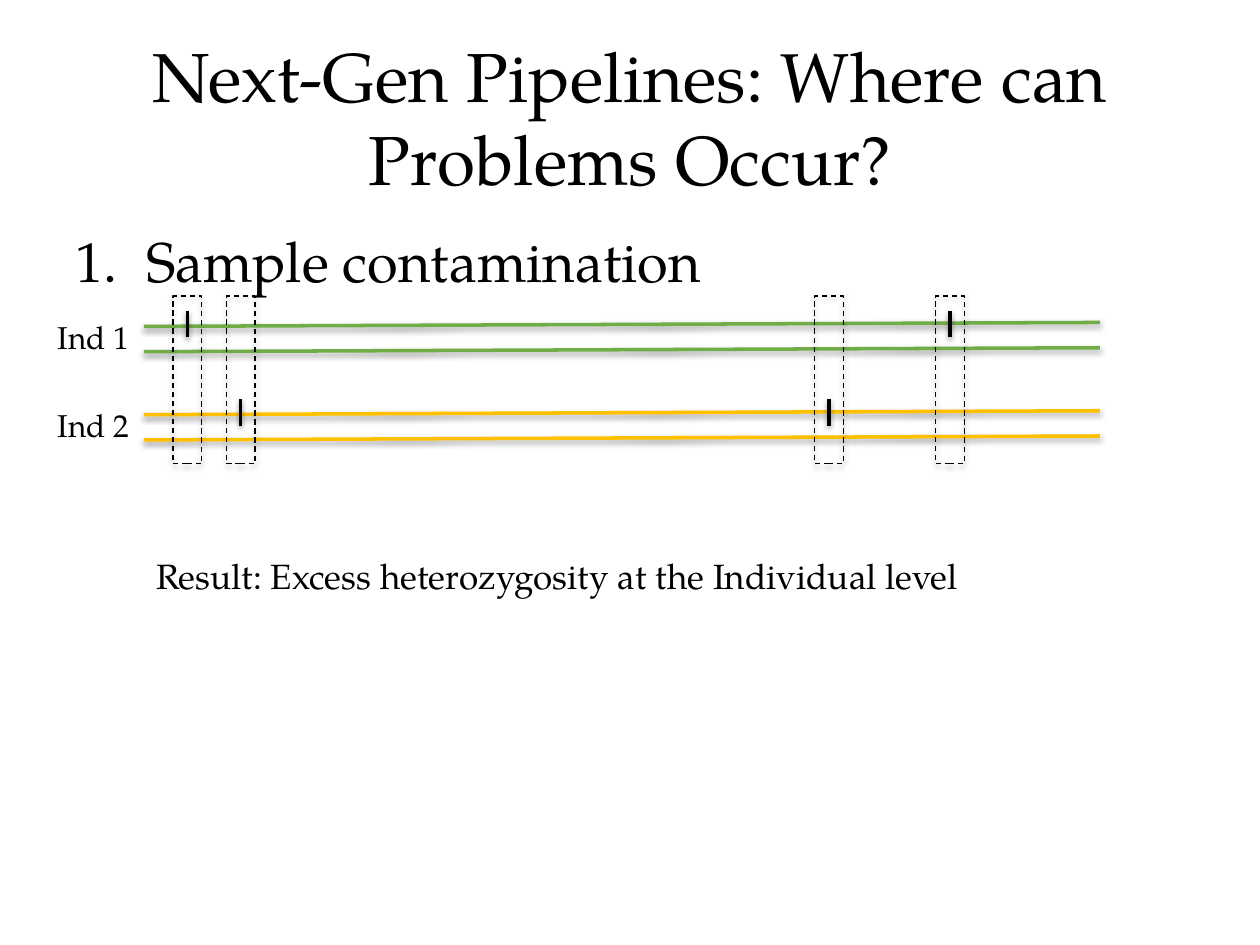
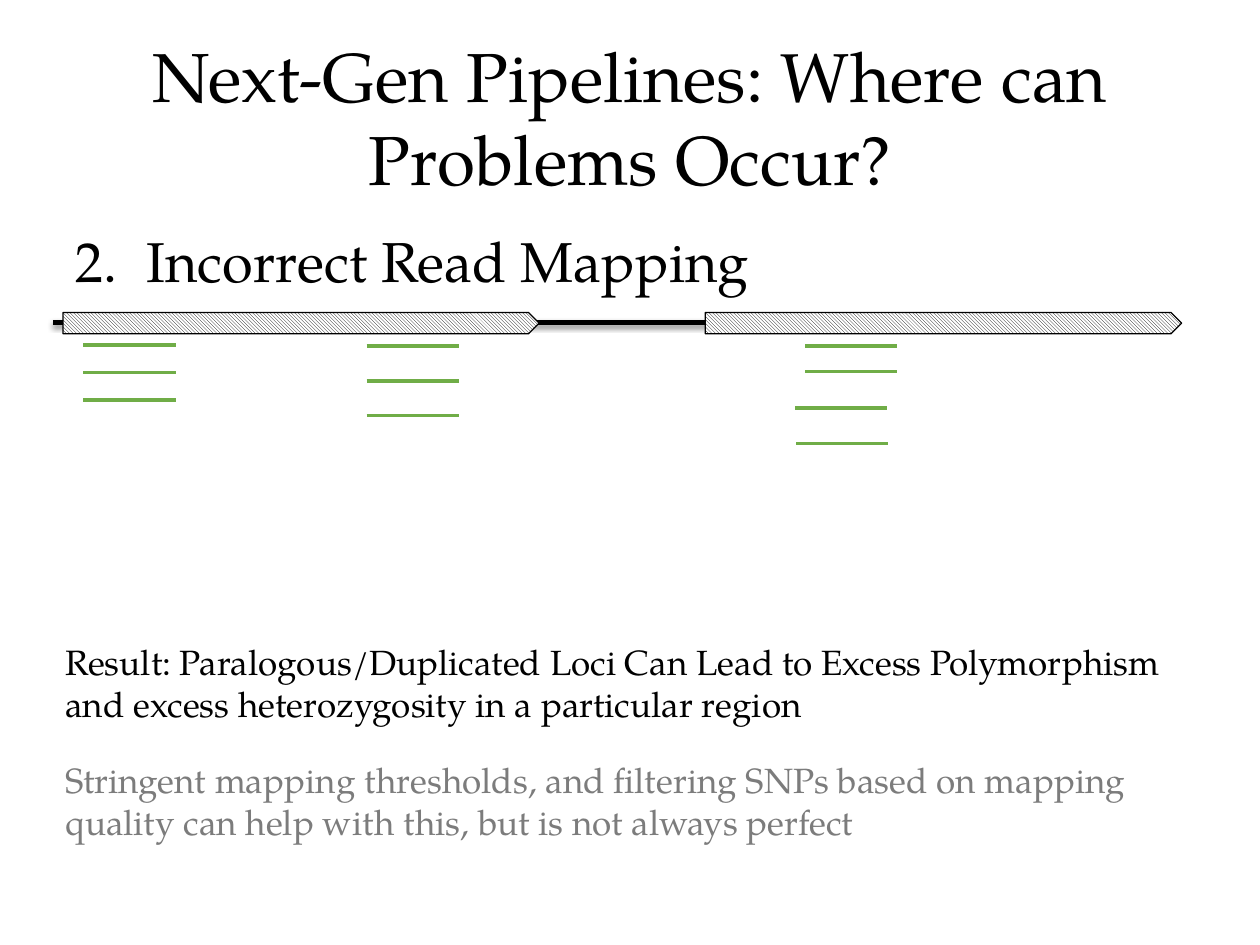
from copy import deepcopy

from lxml import etree
from pptx import Presentation
from pptx.dml.color import RGBColor
from pptx.enum.dml import MSO_LINE, MSO_PATTERN
from pptx.enum.shapes import MSO_CONNECTOR, MSO_SHAPE
from pptx.enum.text import MSO_ANCHOR, MSO_AUTO_SIZE, PP_ALIGN
from pptx.oxml import parse_xml
from pptx.oxml.ns import nsdecls, qn
from pptx.util import Cm, Pt

BLACK = RGBColor(0x00, 0x00, 0x00)
WHITE = RGBColor(0xFF, 0xFF, 0xFF)
GREEN = RGBColor(0x70, 0xAD, 0x47)
AMBER = RGBColor(0xFF, 0xC0, 0x00)
GREY = RGBColor(0x7C, 0x7C, 0x7C)
FONT = "TeX Gyre Pagella"

STRAIGHT = MSO_CONNECTOR.STRAIGHT
RECTANGLE = MSO_SHAPE.RECTANGLE
PENTAGON = MSO_SHAPE.PENTAGON
DASH = MSO_LINE.DASH
DARK_DIAGONAL = MSO_PATTERN.DARK_DOWNWARD_DIAGONAL
LIGHT_DIAGONAL = MSO_PATTERN.LIGHT_DOWNWARD_DIAGONAL
TOP, MIDDLE = MSO_ANCHOR.TOP, MSO_ANCHOR.MIDDLE
LEFT, CENTER = PP_ALIGN.LEFT, PP_ALIGN.CENTER
GROW, FIXED = MSO_AUTO_SIZE.SHAPE_TO_FIT_TEXT, MSO_AUTO_SIZE.NONE

NO_SHADOW = parse_xml(f"<a:effectLst {nsdecls('a')}/>")
SOFT_SHADOW = parse_xml(
    f"<a:effectLst {nsdecls('a')}>"
    '<a:outerShdw blurRad="40000" dist="20000" dir="5400000" rotWithShape="0">'
    '<a:srgbClr val="000000"><a:alpha val="38000"/></a:srgbClr>'
    "</a:outerShdw></a:effectLst>")


def add_text(shapes, text, left, top, width, height, size=20, color=BLACK,
             align=LEFT, anchor=TOP, wrap=True, fit=GROW, number=None):
    """Add a one-paragraph text box, numbered if a number is given; lengths in cm."""
    box = shapes.add_textbox(Cm(left), Cm(top), Cm(width), Cm(height))
    frame = box.text_frame
    frame.word_wrap = wrap
    frame.auto_size = fit
    frame.vertical_anchor = anchor
    para = frame.paragraphs[0]
    para.alignment = align
    span = para.add_run()
    span.text = text
    span.font.name = FONT
    span.font.size = Pt(size)
    span.font.color.rgb = color
    if number:
        para.space_before = Pt(0.2 * size)
        properties = para._p.get_or_add_pPr()
        properties.set("marL", str(Cm(1.43)))
        properties.set("indent", str(-Cm(1.43)))
        etree.SubElement(properties, qn("a:buAutoNum"),
                         type="arabicPeriod", startAt=str(number))


def add_line(shapes, x1, y1, x2, y2, color=BLACK, weight=2, effect=SOFT_SHADOW):
    """Add a straight line between two points in cm."""
    line = shapes.add_connector(STRAIGHT, Cm(x1), Cm(y1), Cm(x2), Cm(y2))
    line.line.color.rgb = color
    line.line.width = Pt(weight)
    line._element.spPr.append(deepcopy(effect))


deck = Presentation()
deck.slide_width, deck.slide_height = Cm(25.4), Cm(19.05)

# Both slides: the title and one numbered problem
pages = []
for number, problem in enumerate(["Sample contamination", "Incorrect Read Mapping"], 1):
    page = deck.slides.add_slide(deck.slide_layouts[6])
    add_text(page.shapes, "Next-Gen Pipelines: Where can Problems Occur?",
             1.27, 0.76, 22.86, 3.18, size=39.6, align=CENTER, anchor=MIDDLE, fit=FIXED)
    add_text(page.shapes, problem, 1.27, 4.45, 22.86, 12.57,
             size=32, fit=FIXED, number=number)
    pages.append(page)
contamination, mapping = pages

# Slide 1: two individuals, each with two strands and two variants
individuals = [("Ind 1", 6.5, GREEN, (3.78, 19.15)),
               ("Ind 2", 8.28, AMBER, (4.85, 16.71))]
for name, top, color, variants in individuals:
    group = contamination.shapes.add_group_shape().shapes
    for strand in (top, top + 0.51):
        add_line(group, 2.9, strand + 0.08, 22.17, strand, color)
    for x in variants:
        add_line(group, x, top - 0.23, x, top + 0.3)
    add_text(group, name, 0.91, top - 0.22, 1.98, 1.02, size=18, wrap=False)

# Dashed boxes compare the individuals at each variant
for *_, variants in individuals:
    for x in variants:
        box = contamination.shapes.add_shape(
            RECTANGLE, Cm(x - 0.29), Cm(5.97), Cm(0.58), Cm(3.38))
        box.fill.background()
        box.line.color.rgb = BLACK
        box.line.width = Pt(0.75)
        box.line.dash_style = DASH
        box._element.spPr.append(deepcopy(SOFT_SHADOW))

add_text(contamination.shapes, "Result: Excess heterozygosity at the Individual level",
         2.9, 11.05, 19.13, 1.12)

# Slide 2: reads mapped below two duplicated loci
add_line(mapping.shapes, 1.07, 6.5, 22.68, 6.5, weight=2.5)

reads = [(1.68, 6.96 + 0.55 * row) for row in range(3)]
reads += [(7.39, 6.98 + 0.7 * row) for row in range(3)]
reads += [(16.23, 6.98), (16.23, 7.49), (16.03, 8.23), (16.05, 8.94)]
for x, y in reads:
    add_line(mapping.shapes, x, y, x + 1.86, y, GREEN, effect=NO_SHADOW)

for left, pattern in [(1.27, DARK_DIAGONAL), (14.22, LIGHT_DIAGONAL)]:
    locus = mapping.shapes.add_shape(PENTAGON, Cm(left), Cm(6.3), Cm(9.6), Cm(0.43))
    locus.shadow.inherit = False
    locus.fill.patterned()
    locus.fill.pattern = pattern
    locus.fill.fore_color.rgb = BLACK
    locus.fill.back_color.rgb = WHITE
    locus.line.color.rgb = BLACK
    locus.line.width = Pt(0.75)

add_text(mapping.shapes,
         "Result: Paralogous/Duplicated Loci Can Lead to Excess Polymorphism "
         "and excess heterozygosity in a particular region",
         1.07, 12.78, 22.73, 1.96)
add_text(mapping.shapes,
         "Stringent mapping thresholds, and filtering SNPs based on mapping "
         "quality can help with this, but is not always perfect",
         1.07, 15.16, 22.73, 1.96, color=GREY)

deck.save("out.pptx")
